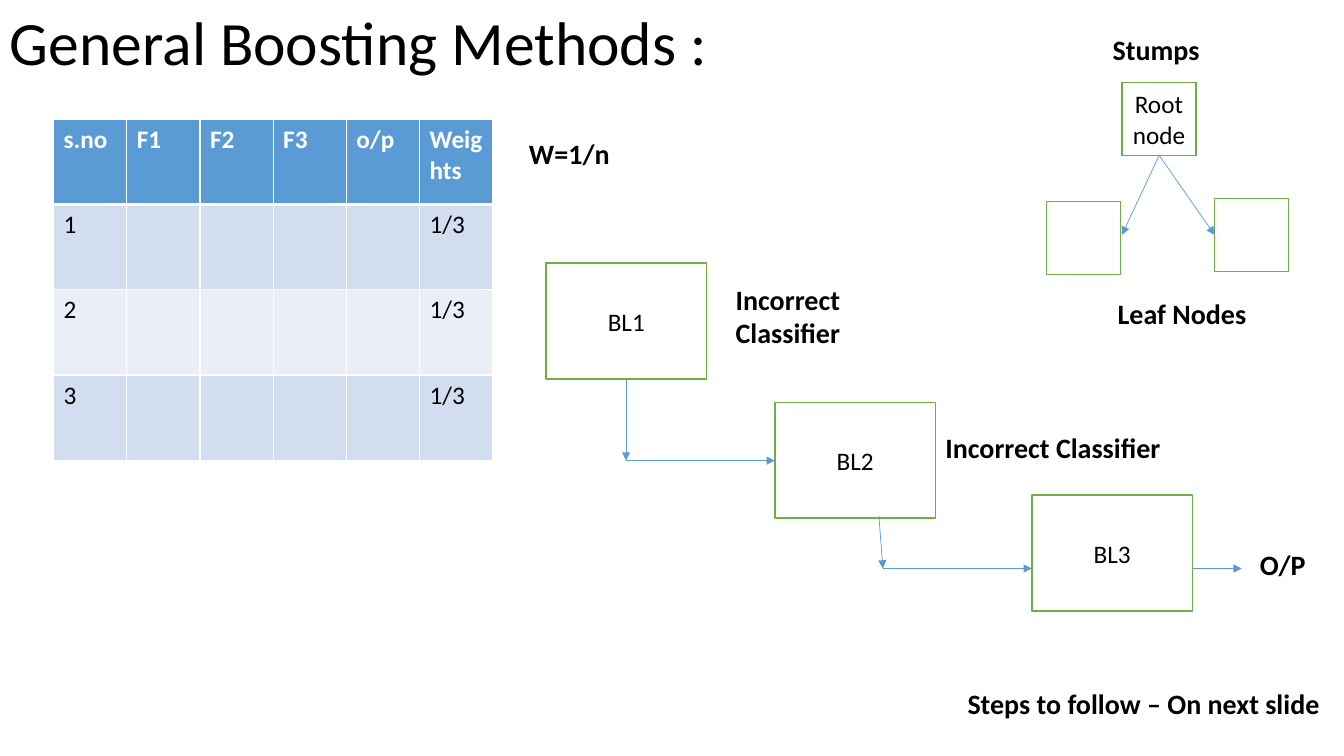
from lxml import etree
from pptx import Presentation
from pptx.dml.color import RGBColor
from pptx.enum.shapes import MSO_CONNECTOR, MSO_SHAPE
from pptx.enum.text import MSO_ANCHOR, PP_ALIGN
from pptx.oxml.ns import qn
from pptx.util import Pt

RECT = MSO_SHAPE.RECTANGLE
STRAIGHT = MSO_CONNECTOR.STRAIGHT
TOP, MIDDLE = MSO_ANCHOR.TOP, MSO_ANCHOR.MIDDLE
LEFT, CENTER = PP_ALIGN.LEFT, PP_ALIGN.CENTER

FONT = "Calibri"
COLORS = {
    "text": "000000",
    "white": "FFFFFF",
    "box": "70AD47",
    "blue": "5B9BD5",
    "odd": "D2DEEF",
    "even": "EAEFF7",
}


def rgb(name):
    return RGBColor.from_string(COLORS[name])


class SlideBuilder:
    def __init__(self, slide):
        self.slide = slide

    def style(self, tf, size, bold=False, color="text", align=LEFT):
        for p in tf.paragraphs:
            p.alignment = align
            for r in p.runs:
                r.font.name = FONT
                r.font.size = Pt(size)
                r.font.bold = bold
                r.font.color.rgb = rgb(color)

    def text(self, text, x, y, w, h, size=20, bold=True, anchor=TOP):
        s = self.slide.shapes.add_textbox(Pt(x), Pt(y), Pt(w), Pt(h))
        tf = s.text_frame
        tf.word_wrap = True
        tf.vertical_anchor = anchor
        tf.text = text
        self.style(tf, size, bold)
        return s

    def box(self, x, y, w, h, text=""):
        s = self.slide.shapes.add_shape(RECT, Pt(x), Pt(y), Pt(w), Pt(h))
        s.shadow.inherit = False
        s.fill.solid()
        s.fill.fore_color.rgb = rgb("white")
        s.line.color.rgb = rgb("box")
        s.line.width = Pt(1)
        tf = s.text_frame
        tf.word_wrap = True
        tf.vertical_anchor = MIDDLE
        tf.text = text
        self.style(tf, 18, align=CENTER)

    def arrow(self, x1, y1, x2, y2):
        c = self.slide.shapes.add_connector(STRAIGHT, Pt(x1), Pt(y1), Pt(x2), Pt(y2))
        c.line.color.rgb = rgb("blue")
        c.line.width = Pt(0.5)
        etree.SubElement(c.line._get_or_add_ln(), qn("a:tailEnd"), type="triangle")
        etree.SubElement(c._element.spPr, qn("a:effectLst"))

    def borders(self, cell, bottom):
        tcPr = cell._tc.get_or_add_tcPr()
        widths = {"a:lnL": 1, "a:lnR": 1, "a:lnT": 1, "a:lnB": bottom}
        for i, (tag, width) in enumerate(widths.items()):
            ln = etree.Element(qn(tag), w=str(Pt(width)))
            fill = etree.SubElement(ln, qn("a:solidFill"))
            etree.SubElement(fill, qn("a:srgbClr"), val=COLORS["white"])
            tcPr.insert(i, ln)

    def table(self, rows, x, y, col_w, row_h):
        n_rows, n_cols = len(rows), len(rows[0])
        frame = self.slide.shapes.add_table(
            n_rows, n_cols, Pt(x), Pt(y), Pt(n_cols * col_w), Pt(n_rows * row_h))
        table = frame.table
        for col in table.columns:
            col.width = Pt(col_w)
        for i, values in enumerate(rows):
            table.rows[i].height = Pt(row_h)
            header = i == 0
            fill = "blue" if header else ("odd" if i % 2 else "even")
            for j, value in enumerate(values):
                cell = table.cell(i, j)
                cell.fill.solid()
                cell.fill.fore_color.rgb = rgb(fill)
                self.borders(cell, 3 if header else 1)
                cell.text_frame.text = value
                self.style(cell.text_frame, 18, header, "white" if header else "text")


def main():
    prs = Presentation()
    prs.slide_width, prs.slide_height = Pt(960), Pt(540)
    s = SlideBuilder(prs.slides.add_slide(prs.slide_layouts[6]))

    title = s.text("General Boosting Methods :", 0, -19.4, 828, 104.4,
                   size=44, bold=False, anchor=MIDDLE)
    title.text_frame.paragraphs[0].line_spacing = 0.9

    header = ["s.no", "F1", "F2", "F3", "o/p", "Weights"]
    samples = [[str(n), "", "", "", "", "1/3"] for n in range(1, 4)]
    s.table([header] + samples, 38.2, 85.2, 52.3, 60.9)

    learners = [("BL1", 390, 188), ("BL2", 553.5, 287.3), ("BL3", 737.1, 353.7)]
    for name, x, y in learners:
        s.box(x, y, 114.8, 82.8, name)

    nodes = [("Root\nnode", 801.4, 59), ("", 867.6, 141.8), ("", 747.4, 144)]
    for name, x, y in nodes:
        s.box(x, y, 52.8, 52, name)

    arrows = [
        (828, 111, 801.4, 167.8),
        (828, 111, 867.6, 167.8),
        (447.2, 270.8, 447.2, 329),
        (447.2, 329, 553.5, 329),
        (630.7, 406.1, 737.1, 406.1),
        (627.8, 368.6, 630.7, 406.1),
        (851.9, 406.1, 887, 406.1),
    ]
    for ends in arrows:
        s.arrow(*ends)

    labels = [
        ("Stumps", 787.7, 19.4, 106.6, 31.7),
        ("Leaf Nodes", 791.2, 208.1, 129.6, 31.7),
        ("O/P", 892.8, 387.4, 67, 31.7),
        ("Incorrect Classifier", 668.2, 303.8, 185, 31.7),
        ("Incorrect Classifier", 518.4, 198, 129.6, 55.4),
        ("W=1/n", 370.8, 94.3, 129.6, 55.4),
        ("Steps to follow – On next slide", 684, 486.7, 276, 31.7),
    ]
    for label in labels:
        s.text(*label)

    prs.save("out.pptx")


if __name__ == "__main__":
    main()
